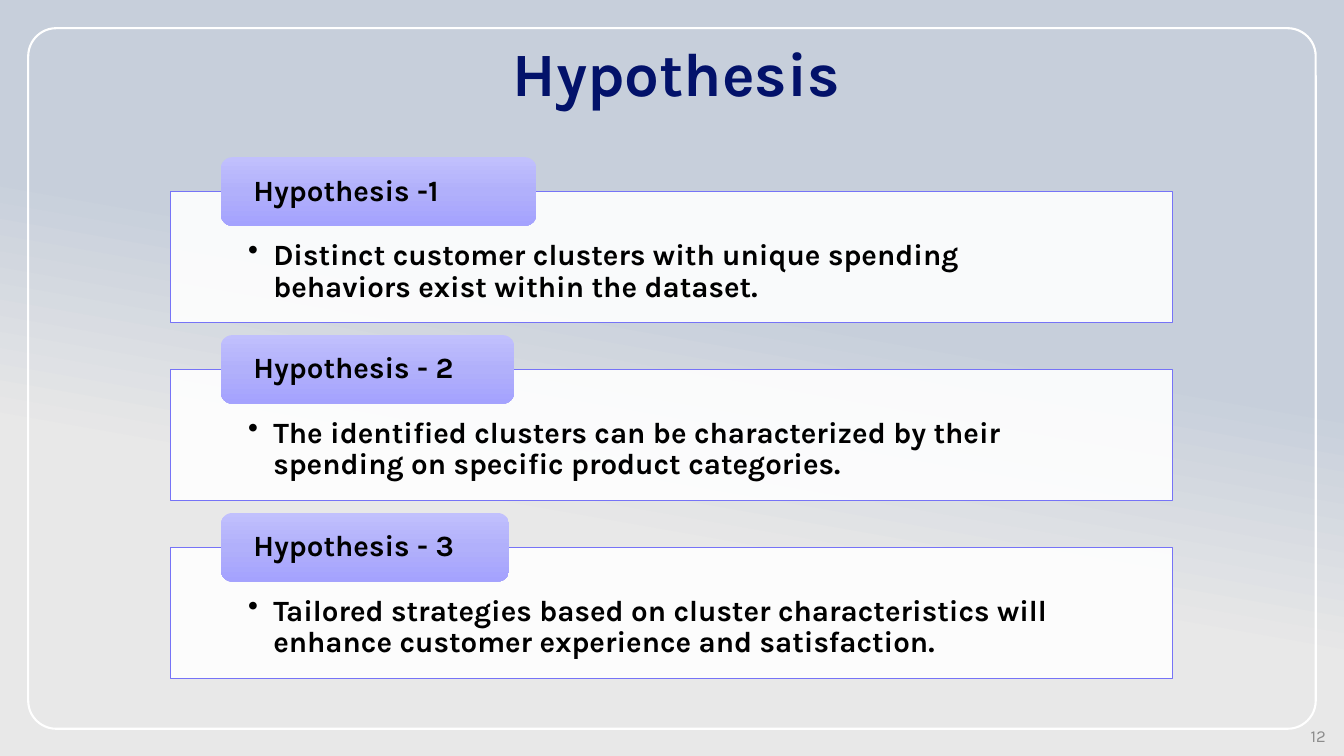
from copy import deepcopy

from lxml import etree
from pptx import Presentation
from pptx import util as u
from pptx.dml.color import RGBColor
from pptx.enum import shapes, text
from pptx.oxml.ns import qn

FONT = "Karla"
WIDTH, HEIGHT = u.Inches(13.33), u.Inches(7.5)

# Tab label, tab width (percent of slide width), statement
HYPOTHESES = [
    ("Hypothesis -1", 23.48,
     "Distinct customer clusters with unique spending behaviors exist within the dataset."),
    ("Hypothesis - 2", 21.83,
     "The identified clusters can be characterized by their spending on specific product categories."),
    ("Hypothesis - 3", 21.45,
     "Tailored strategies based on cluster characteristics will enhance customer experience and satisfaction."),
]
CARD_TOP, CARD_PITCH = 25.33, 23.53


def color(value):
    return RGBColor.from_string(value)


def across(share):
    """Percent of the slide's width."""
    return int(WIDTH * share / 100)


def down(share):
    """Percent of the slide's height."""
    return int(HEIGHT * share / 100)


def place(x, y, w, h):
    return across(x), down(y), across(w), down(h)


def gradient(fill, owner, stops, angle):
    fill.gradient()
    fill.gradient_angle = angle
    stop_list = owner.xpath(".//a:gsLst")[0]
    while len(stop_list) < len(stops):
        stop_list.append(deepcopy(stop_list[0]))
    for stop, (position, value) in zip(fill.gradient_stops, stops):
        stop.position = position
        stop.color.rgb = color(value)


def add_box(s, kind, area, line=None, weight=0.5):
    sp = s.shapes.add_shape(kind, *place(*area))
    sp.shadow.inherit = False
    if line:
        sp.line.color.rgb = color(line)
        sp.line.width = u.Pt(weight)
    else:
        sp.line.fill.background()
    return sp


def set_insets(tf, side, top=0, bottom=0):
    tf.margin_left = tf.margin_right = across(side)
    tf.margin_top, tf.margin_bottom = down(top), down(bottom)


def write(tf, words, size, value, align, anchor, bold=True, spacing=0.9, bullet=None):
    tf.word_wrap = True
    tf.vertical_anchor = anchor
    p = tf.paragraphs[0]
    p.text = words
    p.alignment = align
    p.line_spacing = spacing
    if bullet:
        props = p._p.get_or_add_pPr()
        indent = u.Inches(0.25)
        props.set("marL", str(indent))
        props.set("indent", str(-indent))
        etree.SubElement(props, qn("a:buChar"), char=bullet)
    font = p.font
    font.name, font.size, font.bold = FONT, u.Pt(size), bold
    font.color.rgb = color(value)


def add_panel(s, top, statement):
    sp = add_box(s, shapes.MSO_SHAPE.RECTANGLE, (12.68, top, 74.55, 17.33), "7673F7")
    sp.fill.solid()
    sp.fill.fore_color.rgb = color("FFFFFF")
    white = sp._element.spPr.find(qn("a:solidFill"))[0]
    etree.SubElement(white, qn("a:alpha"), val="90000")
    set_insets(sp.text_frame, 5.78, 6.4, 2.13)
    write(sp.text_frame, statement, 21, "000000", text.PP_ALIGN.LEFT,
          text.MSO_ANCHOR.TOP, bullet="•")


def add_tab(s, top, width, label):
    sp = add_box(s, shapes.MSO_SHAPE.ROUNDED_RECTANGLE, (16.43, top, width, 9.07))
    gradient(sp.fill, sp._element, [(0, "C1C0FD"), (0.5, "B1B0FB"), (1, "A4A2FE")], 270)
    set_insets(sp.text_frame, 2.18)
    write(sp.text_frame, label, 21, "000000", text.PP_ALIGN.LEFT, text.MSO_ANCHOR.MIDDLE)


def main():
    prs = Presentation()
    prs.slide_width, prs.slide_height = WIDTH, HEIGHT
    s = prs.slides.add_slide(prs.slide_layouts[5])

    # Background and frame
    gradient(s.background.fill, s._element, [(0.33, "E8E8E8"), (0.59, "C7CFDB")], 80)
    frame = add_box(s, shapes.MSO_SHAPE.ROUNDED_RECTANGLE, (2.1, 3.73, 95.8, 92.67),
                    "FFFFFF", 1.5)
    frame.adjustments[0] = 0.04
    frame.fill.background()

    # Title
    title = s.shapes.title
    title.left, title.top, title.width, title.height = place(8.18, 3.47, 84.32, 11.73)
    write(title.text_frame, "Hypothesis", 44, "03126A", text.PP_ALIGN.CENTER,
          text.MSO_ANCHOR.BOTTOM)

    # Hypothesis cards
    for row, (label, width, statement) in enumerate(HYPOTHESES):
        top = CARD_TOP + row * CARD_PITCH
        add_panel(s, top, statement)
        add_tab(s, top - 4.53, width, label)

    # Slide number
    number = s.shapes.add_textbox(*place(76.9, 95.73, 22.5, 3.33))
    write(number.text_frame, "12", 12, "8C8C8C", text.PP_ALIGN.RIGHT,
          text.MSO_ANCHOR.MIDDLE, bold=False, spacing=1.0)

    prs.save("out.pptx")


if __name__ == "__main__":
    main()
